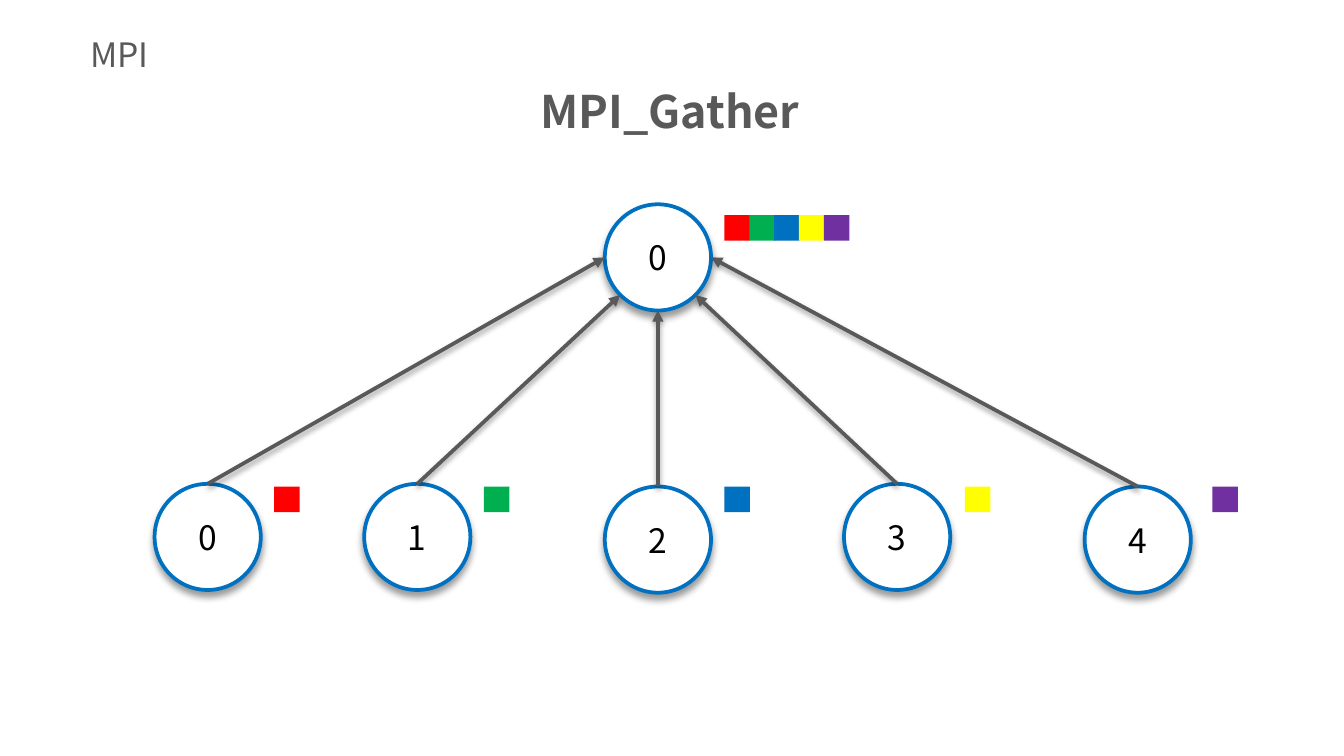
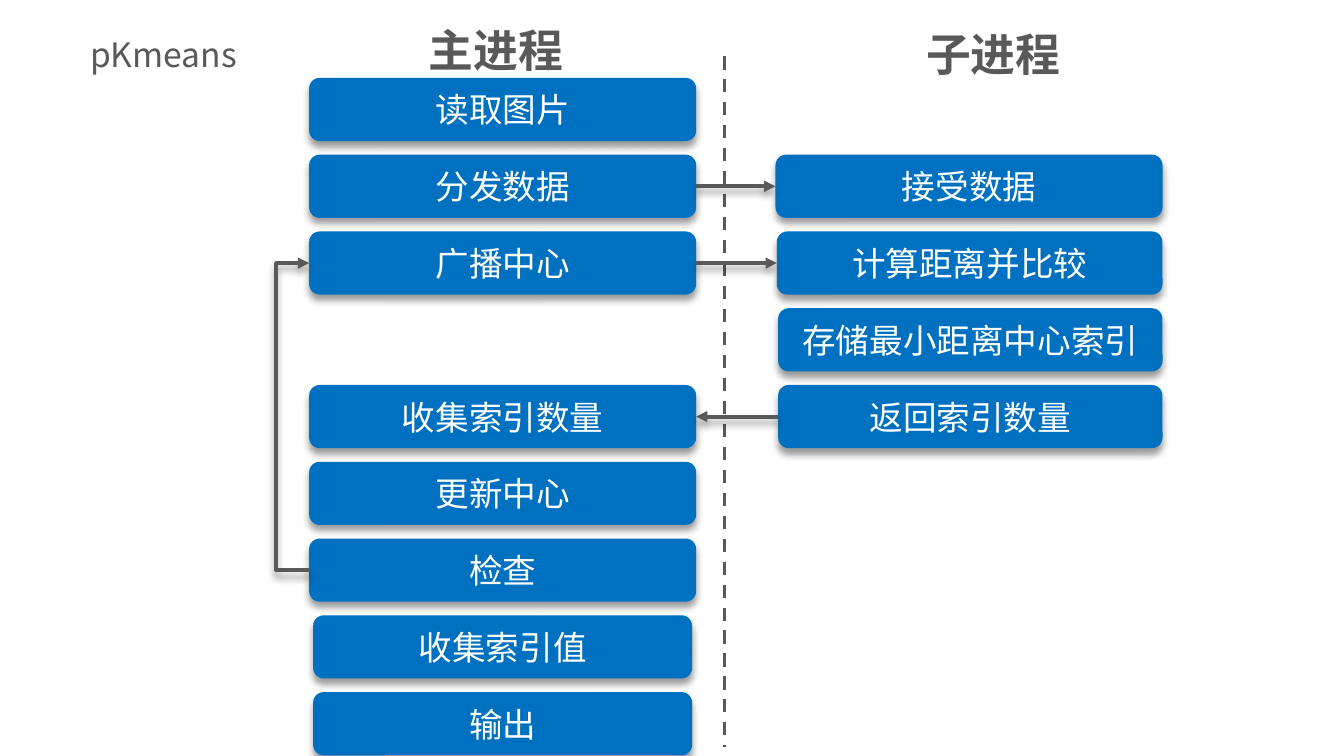
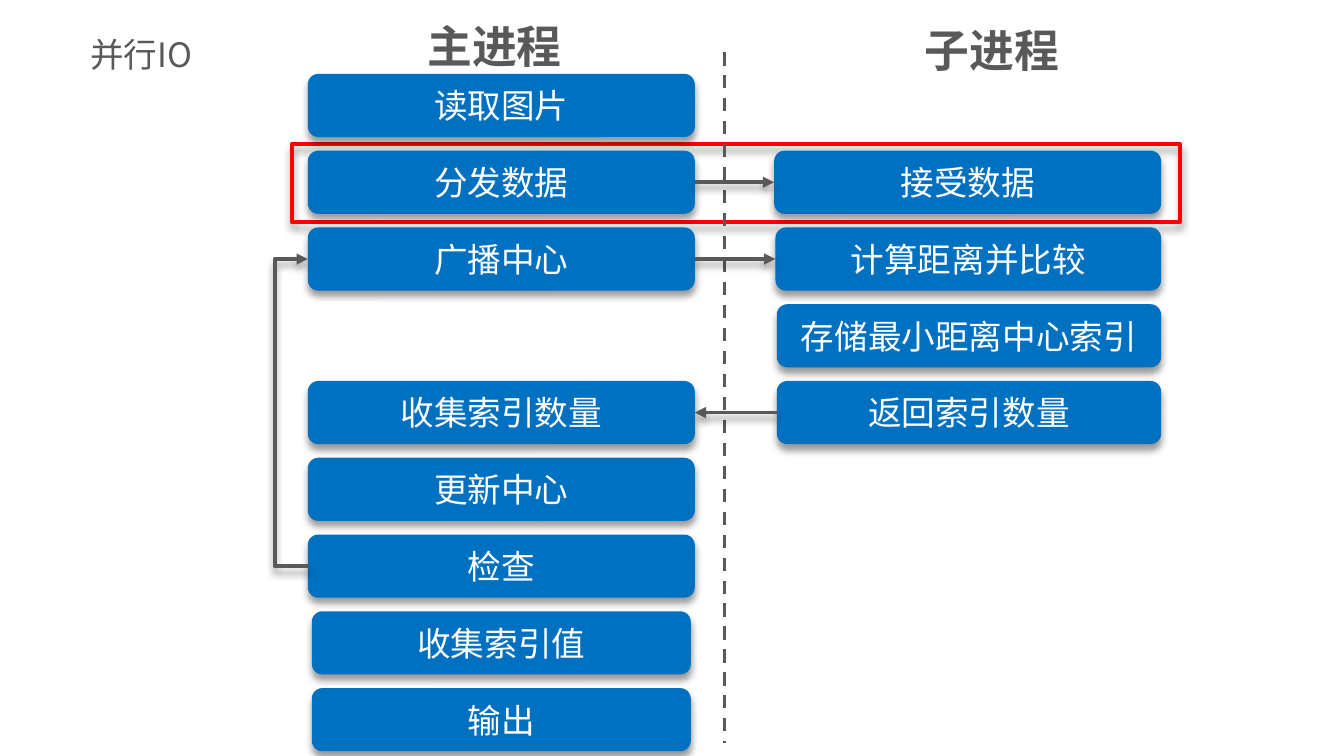
import math
from lxml import etree
from pptx import Presentation
from pptx.dml.color import RGBColor
from pptx.enum import dml, shapes, text
from pptx.oxml import ns
from pptx.util import Inches, Pt

FONT = "Noto Sans CJK SC"
GREY = RGBColor(0x59, 0x59, 0x59)
BLACK = RGBColor(0, 0, 0)
WHITE = RGBColor(0xFF, 0xFF, 0xFF)
RED = RGBColor(0xFF, 0, 0)
GREEN = RGBColor(0, 0xB0, 0x50)
BLUE = RGBColor(0, 0x70, 0xC0)
YELLOW = RGBColor(0xFF, 0xFF, 0)
PURPLE = RGBColor(0x70, 0x30, 0xA0)

SOFT_SHADOW = (40, 4, 3)
ARROW_SHADOW = (38, 3.1, 1.6)

ROOT_NODE = ("0", 4.5, 1.52)
CIRCLE = 0.79
SQUARE = 0.19
FIRST_SQUARE, LAST_SQUARE = 5.39, 6.13
SENDERS = [
    ("0", 1.15, 3.6, 2.04, RED, 180),
    ("1", 2.71, 3.6, 3.6, GREEN, 135),
    ("2", 4.5, 3.62, 5.39, BLUE, 90),
    ("3", 6.28, 3.6, 7.18, YELLOW, 45),
    ("4", 8.07, 3.62, 9.02, PURPLE, 0),
]

HEADINGS = [("主进程", 3.19, 0.16), ("子进程", 6.89, 0.19)]
MAIN_STEPS = [
    ("读取图片", 0, 2.88),
    ("分发数据", 1, 2.88),
    ("广播中心", 2, 2.88),
    ("收集索引数量", 4, 2.88),
    ("更新中心", 5, 2.88),
    ("检查", 6, 2.88),
    ("收集索引值", 7, 2.82),
    ("输出", 8, 2.82),
]
CHILD_STEPS = [
    ("接受数据", 1, 2.88),
    ("计算距离并比较", 2, 2.87),
    ("存储最小距离中心索引", 3, 2.86),
    ("返回索引数量", 4, 2.86),
]
MESSAGES = [(1, 5.18, 5.77), (2, 5.18, 5.78), (4, 5.79, 5.18)]
LOOP_FROM, LOOP_TO = 6, 2
LOOP_REACH, LOOP_WIDTH = 0.26, 0.01
MAIN_CENTRE, MAIN_LEFT, CHILD_RIGHT = 3.74, 2.3, 8.65
FIRST_TOP, LAST_TOP, STEP_HEIGHT = 0.58, 5.15, 0.47
ROW_STEP = (LAST_TOP - FIRST_TOP) / 8
FLOW_PAGES = [
    ("pKmeans", 0, 0, None),
    ("并行IO", -0.01, -0.03, (2.17, 1.07, 6.61, 0.58)),
]


def write(frame, words, size, colour, align, bold=False):
    frame.vertical_anchor = text.MSO_ANCHOR.MIDDLE
    para = frame.paragraphs[0]
    para.alignment = align
    span = para.add_run()
    span.text = words
    span.font.size = Pt(size)
    span.font.bold = bold
    span.font.color.rgb = colour
    span.font.name = FONT
    etree.SubElement(span.font._element, ns.qn("a:ea"), typeface=FONT)


def set_shadow(item, shadow=None):
    effects = etree.SubElement(item._element.spPr, ns.qn("a:effectLst"))
    if shadow:
        alpha, blur, distance = shadow
        outer = etree.SubElement(effects, ns.qn("a:outerShdw"), blurRad=str(Pt(blur)),
                                 dist=str(Pt(distance)), dir="5400000", rotWithShape="0")
        colour = etree.SubElement(outer, ns.qn("a:srgbClr"), val="000000")
        etree.SubElement(colour, ns.qn("a:alpha"), val=str(alpha * 1000))


def add_box(page, kind, area, fill=None, outline=None, shadow=None):
    box = page.shapes.add_shape(kind, *map(Inches, area))
    if fill is None:
        box.fill.background()
    else:
        box.fill.solid()
        box.fill.fore_color.rgb = fill
    if outline is None:
        box.line.fill.background()
    else:
        box.line.color.rgb = outline
        box.line.width = Pt(2)
    set_shadow(box, shadow)
    return box


def add_line(page, start, end, kind=shapes.MSO_CONNECTOR.STRAIGHT, width=2):
    line = page.shapes.add_connector(kind, *map(Inches, start + end))
    line.line.color.rgb = GREY
    line.line.width = Pt(width)
    return line


def add_arrow(page, start, end, shadow, kind=shapes.MSO_CONNECTOR.STRAIGHT):
    arrow = add_line(page, start, end, kind)
    outline = arrow._element.spPr.find(ns.qn("a:ln"))
    etree.SubElement(outline, ns.qn("a:tailEnd"), type="triangle")
    set_shadow(arrow, shadow)
    return arrow


def format_label(box, words, size, area, bold=False):
    box.left, box.top, box.width, box.height = map(Inches, area)
    frame = box.text_frame
    frame.word_wrap = True
    frame.auto_size = text.MSO_AUTO_SIZE.NONE
    frame.margin_left = frame.margin_right = 0
    frame.margin_top = frame.margin_bottom = Inches(0.05)
    write(frame, words, size, GREY, text.PP_ALIGN.LEFT, bold)


def add_heading(page, words, area):
    box = page.shapes.add_textbox(*map(Inches, area))
    format_label(box, words, 24, area, bold=True)


def add_page(deck, title, title_width):
    page = deck.slides.add_slide(deck.slide_layouts[5])
    format_label(page.shapes.title, title, 18, (0.67, 0.19, title_width, 0.42))
    return page


def add_node(page, words, left, top):
    node = add_box(page, shapes.MSO_SHAPE.OVAL, (left, top, CIRCLE, CIRCLE),
                   WHITE, BLUE, SOFT_SHADOW)
    write(node.text_frame, words, 18, BLACK, text.PP_ALIGN.CENTER)


def add_square(page, left, top, colour):
    add_box(page, shapes.MSO_SHAPE.RECTANGLE, (left, top, SQUARE, SQUARE), colour)


def build_gather(deck):
    page = add_page(deck, "MPI", 2.33)
    add_heading(page, "MPI_Gather", (4.02, 0.61, 2.02, 0.42))
    add_node(page, *ROOT_NODE)
    radius = CIRCLE / 2
    root_x, root_y = ROOT_NODE[1] + radius, ROOT_NODE[2] + radius
    square_step = (LAST_SQUARE - FIRST_SQUARE) / (len(SENDERS) - 1)
    for index, (words, left, top, square_left, colour, degrees) in enumerate(SENDERS):
        add_node(page, words, left, top)
        add_square(page, square_left, 3.62, colour)
        add_square(page, FIRST_SQUARE + index * square_step, 1.6, colour)
        angle = math.radians(degrees)
        target = (root_x + radius * math.cos(angle), root_y + radius * math.sin(angle))
        add_arrow(page, (left + radius, top), target, ARROW_SHADOW)


def build_flow(deck, title, shift_x, shift_y, highlight):
    page = add_page(deck, title, 1.18)

    def row_top(row):
        return FIRST_TOP + row * ROW_STEP + shift_y

    def row_middle(row):
        return row_top(row) + STEP_HEIGHT / 2

    if highlight:
        add_box(page, shapes.MSO_SHAPE.RECTANGLE, highlight, outline=RED, shadow=SOFT_SHADOW)
    steps = [(words, row, MAIN_CENTRE - width / 2, width) for words, row, width in MAIN_STEPS]
    steps += [(words, row, CHILD_RIGHT - width, width) for words, row, width in CHILD_STEPS]
    for words, row, left, width in steps:
        box = add_box(page, shapes.MSO_SHAPE.ROUNDED_RECTANGLE,
                      (left + shift_x, row_top(row), width, STEP_HEIGHT),
                      BLUE, shadow=SOFT_SHADOW)
        write(box.text_frame, words, 18, WHITE, text.PP_ALIGN.CENTER)

    divider = add_line(page, (5.39, 0.42 + shift_y), (5.39, 5.56 + shift_y), width=1.75)
    divider.line.dash_style = dml.MSO_LINE.DASH
    set_shadow(divider)
    for words, left, top in HEADINGS:
        add_heading(page, words, (left + shift_x, top + shift_y, 1.01, 0.42))
    for row, start, end in MESSAGES:
        middle = row_middle(row)
        add_arrow(page, (start + shift_x, middle), (end + shift_x, middle), SOFT_SHADOW)

    left = MAIN_LEFT + shift_x
    loop = add_arrow(page, (left, row_middle(LOOP_TO)),
                     (left + LOOP_WIDTH, row_middle(LOOP_FROM)),
                     SOFT_SHADOW, shapes.MSO_CONNECTOR.ELBOW)
    properties = loop._element.spPr
    properties.find(ns.qn("a:xfrm")).set("rot", "10800000")
    adjustments = properties.find(ns.qn("a:prstGeom")).find(ns.qn("a:avLst"))
    bend = round(LOOP_REACH / LOOP_WIDTH * 100000)
    etree.SubElement(adjustments, ns.qn("a:gd"), name="adj1", fmla=f"val {bend}")


def main():
    deck = Presentation()
    deck.slide_width = Inches(10)
    deck.slide_height = deck.slide_width * 9 // 16
    build_gather(deck)
    for flow in FLOW_PAGES:
        build_flow(deck, *flow)
    deck.save("out.pptx")


if __name__ == "__main__":
    main()
